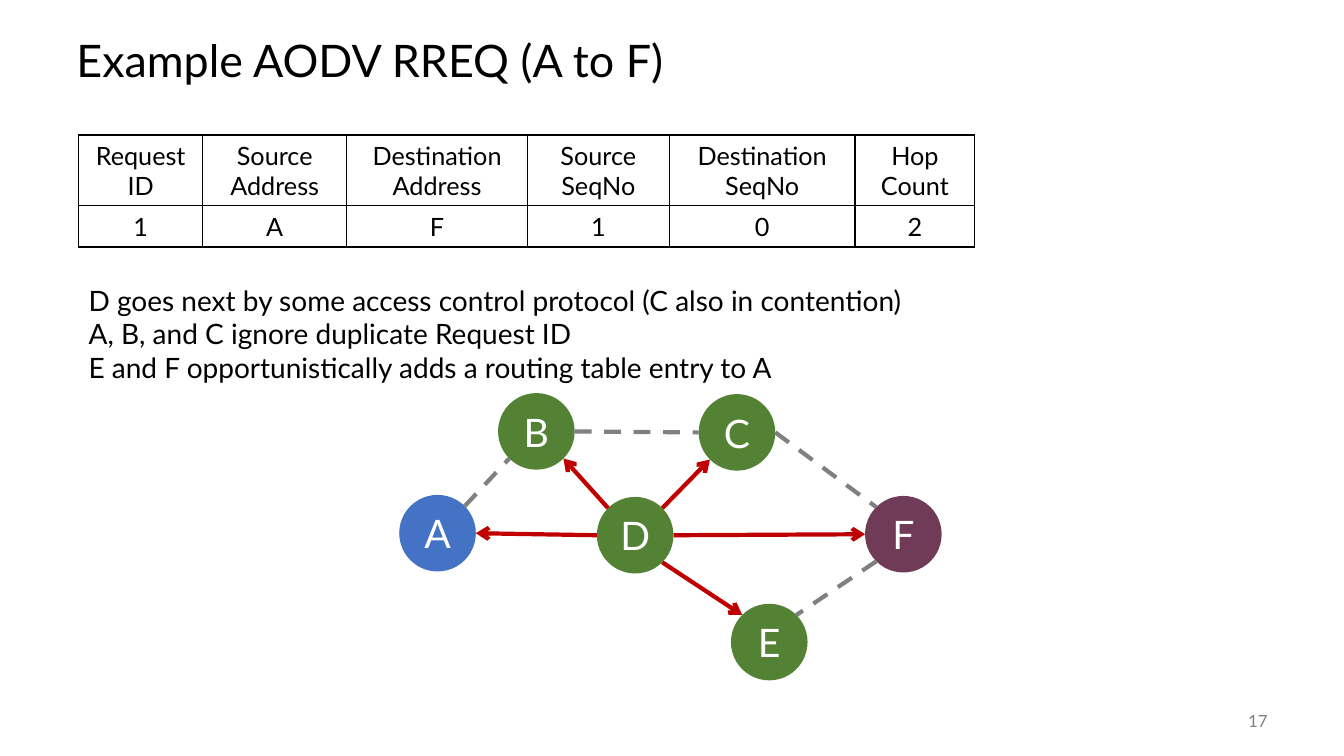
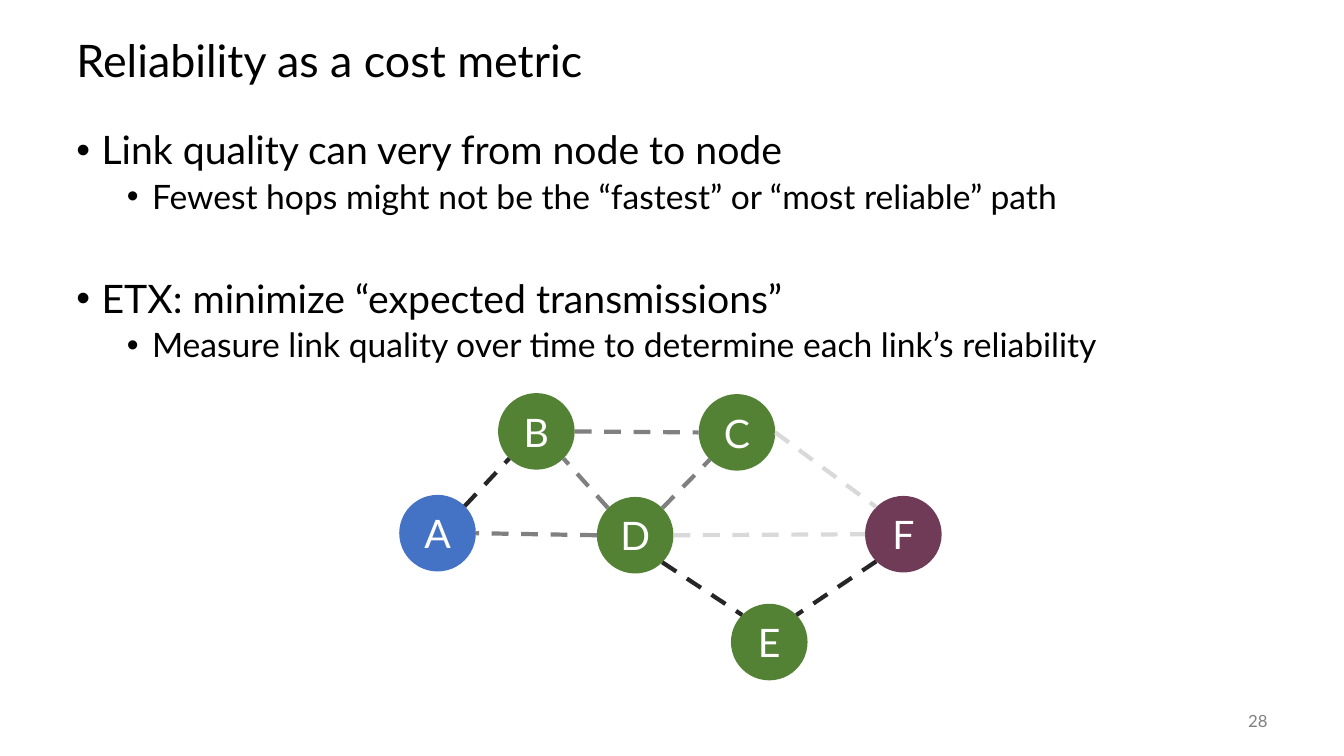
"""Build two slides on ad hoc routing: a route request and link cost."""
import math
import pptx
import pptx.util
import pptx.chart.data
import pptx.dml.color
import pptx.enum.dml
import pptx.enum.shapes
import pptx.enum.text
import pptx.oxml.ns
from lxml import etree

Inches = pptx.util.Inches
Pt = pptx.util.Pt
qn = pptx.oxml.ns.qn
RGB = pptx.dml.color.RGBColor.from_string
ALIGN = pptx.enum.text.PP_ALIGN
MIDDLE = pptx.enum.text.MSO_ANCHOR.MIDDLE
TOP = pptx.enum.text.MSO_ANCHOR.TOP

FONT = "Lato"
HUES = {
    "black": "000000", "white": "FFFFFF", "gray": "808080", "dark": "262626",
    "pale": "D9D9D9", "red": "C00000", "blue": "4472C4", "green": "548235",
    "plum": "703B56",
}
SIZE = 0.76
NODES = {
    "A": (3.96, 4.91, "blue"), "B": (4.94, 3.90, "green"),
    "C": (6.93, 3.91, "green"), "D": (5.92, 4.93, "green"),
    "E": (7.25, 5.99, "green"), "F": (8.58, 4.92, "plum"),
}
LINKS = [
    ("A", 7, "B", 3), ("B", 6, "C", 2), ("D", 1, "B", 5),
    ("D", 7, "C", 3), ("C", 6, "F", 1), ("D", 6, "F", 2),
    ("D", 5, "E", 1), ("F", 3, "E", 7), ("D", 2, "A", 6),
]
PAGES = [
    {"title": "Example AODV RREQ (A to F)", "num": "17",
     "hues": ["gray", "gray", "red", "red", "gray",
              "red", "red", "gray", "red"]},
    {"title": "Reliability as a cost metric", "num": "28",
     "hues": ["dark", "gray", "gray", "gray", "pale",
              "pale", "dark", "dark", "gray"]},
]
HEADS = ["Request ID", "Source Address", "Destination Address",
         "Source SeqNo", "Destination\vSeqNo", "Hop Count"]
VALUES = ["1", "A", "F", "1", "0", "2"]
WIDTHS = [1.23, 1.43, 1.79, 1.41, 1.84, 1.19]
NOTES = [
    "D goes next by some access control protocol (C also in contention)",
    "A, B, and C ignore duplicate Request ID\v"
    "E and F opportunistically adds a routing table entry to A",
]
POINTS = [
    (0, 0, "Link quality can very from node to node"),
    (1, 5, "Fewest hops might not be the “fastest” or “most reliable” path"),
    (0, 45, "ETX: minimize “expected transmissions”"),
    (1, 5, "Measure link quality over time to determine each link’s reliability"),
]


def style(frame, size, hue="black", align=ALIGN.LEFT, anchor=MIDDLE):
    frame.word_wrap = True
    frame.vertical_anchor = anchor
    for para in frame.paragraphs:
        para.alignment = align
        for run in para.runs:
            run.font.name = FONT
            run.font.size = Pt(size)
            run.font.color.rgb = RGB(HUES[hue])


def add_text(slide, box, text, size, **look):
    frame = slide.shapes.add_textbox(*map(Inches, box)).text_frame
    frame.text = text
    style(frame, size, **look)
    return frame


prs = pptx.Presentation()
prs.slide_width = Inches(13.33)
prs.slide_height = Inches(7.5)

for page in PAGES:
    slide = prs.slides.add_slide(prs.slide_layouts[6])
    title = add_text(slide, (0.66, 0.25, 12, 0.75), page["title"], 32)
    title.paragraphs[0].line_spacing = 0.9
    add_text(slide, (11.67, 6.95, 1, 0.4), page["num"], 12,
             hue="gray", align=ALIGN.RIGHT)

    discs = {}
    for name, (left, top, hue) in NODES.items():
        disc = slide.shapes.add_shape(
            pptx.enum.shapes.MSO_SHAPE.OVAL,
            Inches(left), Inches(top), Inches(SIZE), Inches(SIZE))
        disc.shadow.inherit = False
        disc.fill.solid()
        disc.fill.fore_color.rgb = RGB(HUES[hue])
        disc.line.fill.background()
        frame = disc.text_frame
        frame.margin_left = frame.margin_right = 0
        frame.text = name
        style(frame, 28, "white", ALIGN.CENTER)
        discs[name] = disc

    for (start, out, end, into), hue in zip(LINKS, page["hues"]):
        ends = []
        for name, site in ((start, out), (end, into)):
            turn = math.radians(-90 - 45 * site)
            left, top, _ = NODES[name]
            ends += [Inches(left + SIZE / 2 * (1 + math.cos(turn))),
                     Inches(top + SIZE / 2 * (1 + math.sin(turn)))]
        link = slide.shapes.add_connector(
            pptx.enum.shapes.MSO_CONNECTOR.STRAIGHT, *ends)
        link.line.color.rgb = RGB(HUES[hue])
        link.line.width = Pt(3)
        glue = link._element.nvCxnSpPr.cNvCxnSpPr
        for tag, name, site in (("a:stCxn", start, out), ("a:endCxn", end, into)):
            etree.SubElement(glue, qn(tag), id=str(discs[name].shape_id),
                             idx=str(site))
        if hue == "red":
            etree.SubElement(link.line._get_or_add_ln(), qn("a:tailEnd"),
                             type="arrow")
        else:
            link.line.dash_style = pptx.enum.dml.MSO_LINE.DASH
        etree.SubElement(link._element.spPr, qn("a:effectLst"))

route, cost = prs.slides

table = route.shapes.add_table(
    2, len(HEADS), Inches(0.78), Inches(1.34),
    Inches(sum(WIDTHS)), Inches(1.11)).table
table.first_row = table.horz_banding = False
for col, width in zip(table.columns, WIDTHS):
    col.width = Inches(width)
for row, height, words in zip(table.rows, (0.7, 0.41), (HEADS, VALUES)):
    row.height = Inches(height)
    for cell, word in zip(row.cells, words):
        cell.text_frame.text = word
        style(cell.text_frame, 18, align=ALIGN.CENTER)
        cell.vertical_anchor = MIDDLE
        props = cell._tc.get_or_add_tcPr()
        for side in "LRTB":
            edge = etree.SubElement(props, qn("a:ln" + side), w=str(Pt(1)))
            fill = etree.SubElement(edge, qn("a:solidFill"))
            etree.SubElement(fill, qn("a:srgbClr"), val=HUES["black"])
        cell.fill.background()

add_text(route, (0.78, 2.76, 11.38, 1.11), "\n".join(NOTES), 20, anchor=TOP)

body = add_text(cost, (0.66, 1.25, 12, 5.5),
                "\n".join(text for _, _, text in POINTS), 28, anchor=TOP)
for para, (level, gap, _) in zip(body.paragraphs, POINTS):
    props = para._p.get_or_add_pPr()
    props.set("marL", str(Inches(0.25 + 0.5 * level)))
    props.set("indent", str(Inches(-0.25)))
    etree.SubElement(props, qn("a:buFont"), typeface="Arial")
    etree.SubElement(props, qn("a:buChar"), char="•")
    para.level = level
    para.line_spacing = 0.9
    para.space_before = Pt(gap)
    para.runs[0].font.size = Pt(28 - 4 * level)

prs.save("out.pptx")
